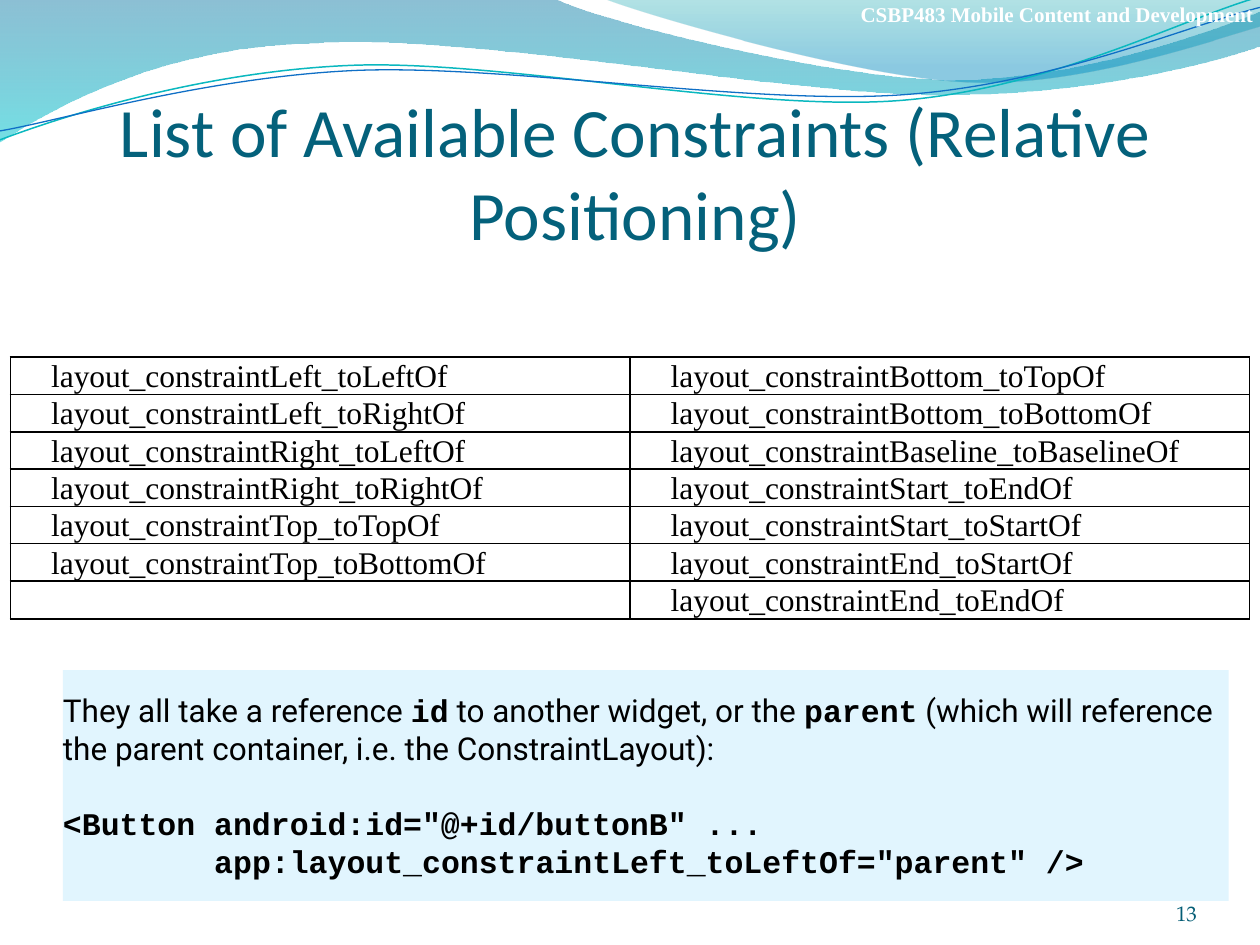
from lxml import etree
from pptx import Presentation
from pptx.dml.color import RGBColor
from pptx.enum.shapes import MSO_SHAPE
from pptx.enum.text import MSO_ANCHOR, PP_ALIGN
from pptx.oxml.ns import qn
from pptx.util import Cm, Pt

RECT = MSO_SHAPE.RECTANGLE
BOTTOM, MIDDLE = MSO_ANCHOR.BOTTOM, MSO_ANCHOR.MIDDLE
LEFT, CENTER, RIGHT = PP_ALIGN.LEFT, PP_ALIGN.CENTER, PP_ALIGN.RIGHT
SERIF, SANS, MONO = "Times New Roman", "Roboto", "Courier New"
COLORS = {
    "black": "000000", "white": "FFFFFF", "title": "04617B", "number": "045D75",
    "note": "E1F5FE", "ocean": "0074A1", "cyan": "00C6CF", "teal": "00A1A9",
    "sky": "008BBF", "teal_line": "0AB8BF", "blue_line": "0F6FC6",
}

WIDE_WAVE = [
    (0, 0), (11.18, -0.03),
    (12.09, 0.43, 16.87, 1.6, 19.25, 1.6), (21.67, 1.6, 24.33, 0.66, 25.4, 0.23),
    (25.43, 0.91),
    (24.97, 1.12, 22.1, 1.93, 18.95, 1.91), (15.8, 1.91, 9.7, 0.71, 6.53, 0.86),
    (3.28, 0.91, 1.17, 2.11, -0.03, 2.87), (0, 0),
]
CORNER_WAVE = [
    (12.17, -0.03),
    (12.93, 0.28, 17.32, 1.57, 19.53, 1.65), (21.74, 1.75, 24.41, 0.81, 25.4, 0.53),
    (25.4, 0), (12.17, -0.03),
]
TEAL_CURVE = [
    (0, 2.82), (1.22, 2.36, 4.01, 1.45, 7.04, 1.32),
    (10.03, 1.19, 15.06, 2.26, 18.11, 2.03), (21.16, 1.8, 23.83, 0.38, 25.35, -0.05),
]
BLUE_CURVE = [
    (0, 2.64), (1.19, 2.44, 4.17, 1.55, 7.19, 1.42),
    (10.24, 1.3, 15.16, 2.13, 18.21, 1.91), (21.23, 1.7, 23.9, 0.53, 25.4, 0.15),
]
CONSTRAINTS = [
    ("Left_toLeftOf", "Bottom_toTopOf"),
    ("Left_toRightOf", "Bottom_toBottomOf"),
    ("Right_toLeftOf", "Baseline_toBaselineOf"),
    ("Right_toRightOf", "Start_toEndOf"),
    ("Top_toTopOf", "Start_toStartOf"),
    ("Top_toBottomOf", "End_toStartOf"),
    ("", "End_toEndOf"),
]


def rgb(name):
    return RGBColor.from_string(COLORS[name])


def set_font(font, name, size, color, bold=False):
    font.name, font.size, font.bold = name, Pt(size), bold
    font.color.rgb = rgb(color)


def set_indent(p, left):
    p._p.get_or_add_pPr().set("marL", str(Cm(left)))


def set_margins(target, left=0, top=0, right=0, bottom=0):
    target.margin_left, target.margin_top = Cm(left), Cm(top)
    target.margin_right, target.margin_bottom = Cm(right), Cm(bottom)


def add_freeform(slide, segments, close):
    start, *rest = [(Cm(seg[-2]), Cm(seg[-1])) for seg in segments]
    builder = slide.shapes.build_freeform(*start)
    builder.add_line_segments(rest, close=close)
    s = builder.convert_to_shape()
    s.shadow.inherit = False
    lines = list(s._element.spPr.iter(qn("a:lnTo")))
    for line, seg in zip(lines, segments[1:]):
        if len(seg) == 6:
            line.tag = qn("a:cubicBezTo")
            for i, (x, y) in enumerate((seg[:2], seg[2:4])):
                pt = etree.Element(qn("a:pt"), x=str(Cm(x) - s.left), y=str(Cm(y) - s.top))
                line.insert(i, pt)
    return s


def add_wave(slide, segments, stops):
    s = add_freeform(slide, segments, True)
    s.line.fill.background()
    s.fill.gradient()
    s.fill.gradient_angle = 270
    for stop, (position, color, _) in zip(s.fill.gradient_stops, stops):
        stop.position = position
        stop.color.rgb = rgb(color)
    for clr, (_, _, opacity) in zip(s._element.spPr.iter(qn("a:srgbClr")), stops):
        etree.SubElement(clr, qn("a:alpha")).set("val", str(opacity * 1000))


def add_curve(slide, segments, color, width):
    s = add_freeform(slide, segments, False)
    s.fill.background()
    s.line.color.rgb = rgb(color)
    s.line.width = Pt(width)


def add_text(slide, box, text, font, align=LEFT, top=0):
    tf = slide.shapes.add_textbox(*map(Cm, box)).text_frame
    tf.word_wrap = True
    tf.vertical_anchor = BOTTOM
    set_margins(tf, top=top)
    p = tf.paragraphs[0]
    p.text, p.alignment = text, align
    set_font(p.font, *font)


def add_borders(cell):
    tcPr = cell._tc.get_or_add_tcPr()
    for side in ("a:lnL", "a:lnR", "a:lnT", "a:lnB"):
        ln = etree.SubElement(tcPr, qn(side), w=str(Pt(1)))
        fill = etree.SubElement(ln, qn("a:solidFill"))
        etree.SubElement(fill, qn("a:srgbClr"), val=COLORS["black"])


def add_constraint_table(slide):
    rows = len(CONSTRAINTS)
    table = slide.shapes.add_table(
        rows, 2, Cm(0.21), Cm(7.2), Cm(24.98), Cm(0.75 * rows)).table
    table.first_row = table.horz_banding = False
    for r, names in enumerate(CONSTRAINTS):
        for c, name in enumerate(names):
            cell = table.cell(r, c)
            add_borders(cell)
            cell.fill.background()
            set_margins(cell, left=0.18, right=0.18)
            p = cell.text_frame.paragraphs[0]
            p.line_spacing = Pt(21.3)
            set_indent(p, 0.64)
            set_font(p.font, SERIF, 18, "black")
            if name:
                p.text = f"layout_constraint{name}"


def add_note(slide):
    s = slide.shapes.add_shape(RECT, Cm(1.27), Cm(13.51), Cm(23.5), Cm(4.65))
    s.shadow.inherit = False
    s.fill.solid()
    s.fill.fore_color.rgb = rgb("note")
    s.line.fill.background()
    tf = s.text_frame
    tf.word_wrap = True
    tf.vertical_anchor = MIDDLE
    set_margins(tf, top=0.41, bottom=0.41)
    p = tf.paragraphs[0]
    p.alignment = LEFT
    for text, name in [
        ("They all take a reference\u00a0", SANS), ("id", MONO),
        ("\u00a0to another widget, or the\u00a0", SANS), ("parent", MONO),
        ("\u00a0(which will reference the parent container, "
         "i.e. the ConstraintLayout):", SANS),
    ]:
        r = p.add_run()
        r.text = text
        set_font(r.font, name, 18, "black", name == MONO)
    for text, indent, gap in [
        ('<Button android:id="@+id/buttonB" ...', 0, 21.5),
        ('app:layout_constraintLeft_toLeftOf="parent" />', 3.05, 0),
    ]:
        p = tf.add_paragraph()
        p.text, p.alignment, p.space_before = text, LEFT, Pt(gap)
        set_indent(p, indent)
        set_font(p.font, MONO, 18, "black", True)


def main():
    prs = Presentation()
    prs.slide_width, prs.slide_height = Cm(25.4), Cm(19.05)
    slide = prs.slides.add_slide(prs.slide_layouts[6])
    add_wave(slide, WIDE_WAVE, [(0, "ocean", 45), (1, "cyan", 55)])
    add_wave(slide, CORNER_WAVE, [(0, "teal", 30), (0.8, "sky", 45)])
    add_curve(slide, TEAL_CURVE, "teal_line", 0.85)
    add_curve(slide, BLUE_CURVE, "blue_line", 0.75)
    add_text(slide, (17.35, -0.48, 9.32, 1.02),
             "CSBP483 Mobile Content and Development", (SERIF, 12, "white", True))
    add_text(slide, (1.27, 1.95, 23.07, 3.18),
             "List of Available Constraints (Relative Positioning)",
             ("Calibri", 39.6, "title"), CENTER, 0.13)
    add_text(slide, (22.02, 17.65, 2.11, 1.02), "13",
             ("TeX Gyre Pagella", 12, "number"), RIGHT)
    add_constraint_table(slide)
    add_note(slide)
    prs.save("out.pptx")


if __name__ == "__main__":
    main()
